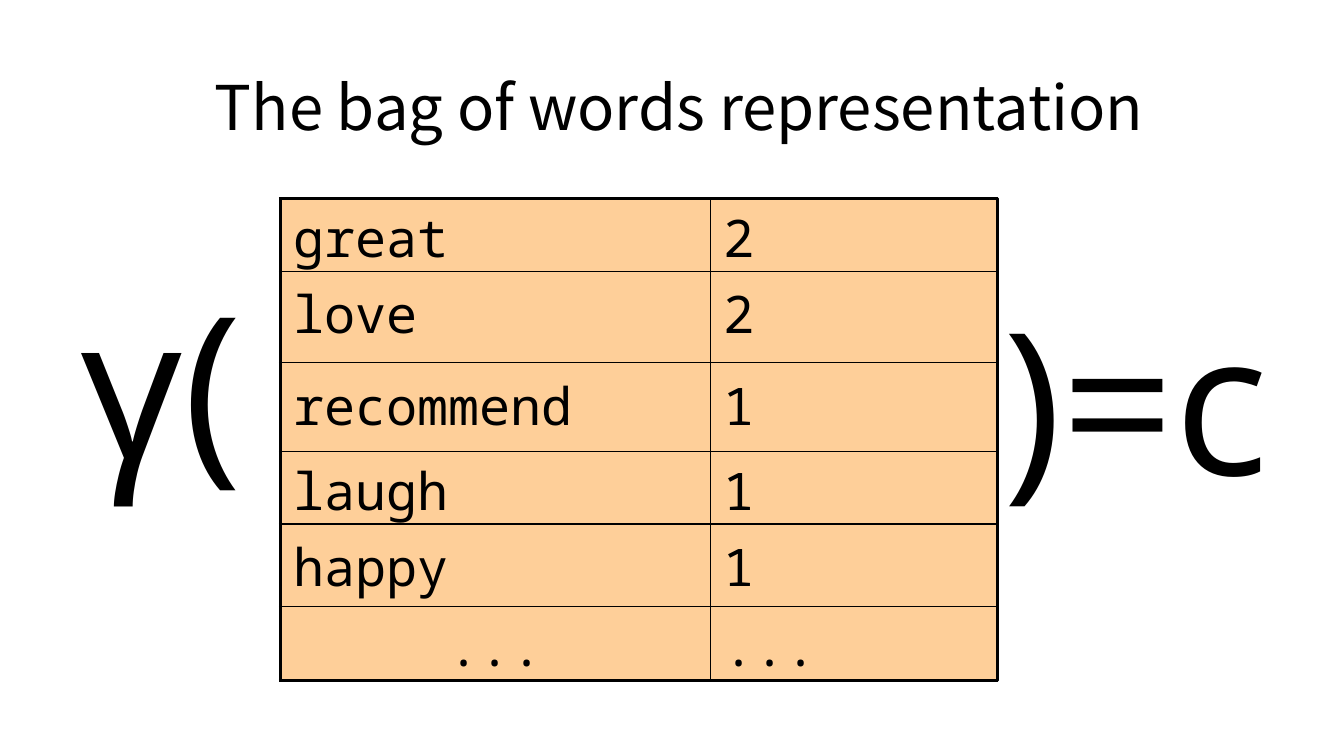
from lxml import etree
from pptx import Presentation
from pptx.dml.color import RGBColor
from pptx.enum.shapes import MSO_SHAPE
from pptx.enum.text import MSO_ANCHOR, PP_ALIGN
from pptx.oxml.ns import qn
from pptx.util import Inches, Pt

RECT = MSO_SHAPE.RECTANGLE
TOP, BOTTOM = MSO_ANCHOR.TOP, MSO_ANCHOR.BOTTOM
LEFT, CENTER = PP_ALIGN.LEFT, PP_ALIGN.CENTER

# Content
TITLE = "The bag of words representation"
WORDS = [("great", "2"), ("love", "2"), ("recommend", "1"),
         ("laugh", "1"), ("happy", "1"), ("...", "...")]
COLS = [4.27, 2.84]
ROWS = [0.72, 0.91, 0.88, 0.72, 0.82, 0.73]
GRID = (2.78, 1.97)
TEXT = 0.64  # height of one tightened line in a cell


class Theme:
    ink = RGBColor(0, 0, 0)
    peach = RGBColor(0xFE, 0xCF, 0x99)
    head, math, mono, greek = ("Noto Sans CJK KR", "Open Sans",
                               "Noto Sans Mono", "Cabin")
    title, sign, cell = 44, 141.3, 37
    tight = 0.9
    thick, thin = 2.25, 1


# Runs as (text, font); boxes as (place, anchor, line spacing, size, runs)
BOXES = [
    ((2, 0.42, 10.89, 1.08), BOTTOM, Theme.tight, Theme.title,
     [(TITLE, Theme.head)]),
    ((0.67, 2.53, 2, 4.89), TOP, 1, Theme.sign,
     [("γ", Theme.greek), ("(", Theme.math)]),
    ((9.82, 2.68, 3.18, 2.51), TOP, 1, Theme.sign, [(")=c", Theme.math)]),
]


def add_run(para, text, font, size):
    run = para.add_run()
    run.text = text
    run.font.name = font
    run.font.size = Pt(size)
    run.font.color.rgb = Theme.ink
    props = run.font._element
    for tag in ("a:ea", "a:cs"):
        etree.SubElement(props, qn(tag), typeface=font)


def add_box(slide, place, anchor, space, size, runs):
    frame = slide.shapes.add_textbox(*map(Inches, place)).text_frame
    frame.word_wrap = True
    frame.vertical_anchor = anchor
    frame.margin_left = frame.margin_right = Inches(0.13)
    frame.margin_top = frame.margin_bottom = Inches(0.07)
    para = frame.paragraphs[0]
    para.alignment = LEFT
    para.line_spacing = space
    for text, font in runs:
        add_run(para, text, font, size)


def set_edge(props, spot, side, width):
    line = etree.Element(qn("a:ln" + side), w=str(Pt(width)))
    fill = etree.SubElement(line, qn("a:solidFill"))
    etree.SubElement(fill, qn("a:srgbClr"), val=str(Theme.ink))
    props.insert(spot, line)


def add_grid(slide):
    size = (sum(COLS), sum(ROWS))
    # Backing panel
    panel = slide.shapes.add_shape(RECT, *map(Inches, GRID + size))
    panel.shadow.inherit = False
    panel.fill.solid()
    panel.fill.fore_color.rgb = Theme.peach
    panel.line.color.rgb = Theme.ink
    panel.line.width = Pt(Theme.thick)

    # Word counts, thick at the outer edge
    table = slide.shapes.add_table(len(ROWS), len(COLS),
                                   *map(Inches, GRID + size)).table
    table.first_row = table.horz_banding = False
    for col, width in zip(table.columns, COLS):
        col.width = Inches(width)
    for row, height in zip(table.rows, ROWS):
        row.height = Inches(height)
    end_row, end_col = len(ROWS) - 1, len(COLS) - 1
    for r, pair in enumerate(WORDS):
        for c, text in enumerate(pair):
            cell = table.cell(r, c)
            cell.fill.background()
            cell.margin_left = cell.margin_right = Inches(0.13)
            # Keep the line inside its row, so that no row grows
            cell.margin_top = Inches(min(0.12, ROWS[r] - TEXT))
            cell.margin_bottom = 0
            para = cell.text_frame.paragraphs[0]
            para.alignment = CENTER if (r, c) == (end_row, 0) else LEFT
            para.line_spacing = Theme.tight
            add_run(para, text, Theme.mono, Theme.cell)
            outer = {"L": c == 0, "R": c == end_col,
                     "T": r == 0, "B": r == end_row}
            props = cell._tc.get_or_add_tcPr()
            for spot, (side, edge) in enumerate(outer.items()):
                set_edge(props, spot, side,
                         Theme.thick if edge else Theme.thin)


def main():
    deck = Presentation()
    deck.slide_width, deck.slide_height = Inches(13.33), Inches(7.5)
    slide = deck.slides.add_slide(deck.slide_layouts[6])
    add_grid(slide)
    for box in BOXES:
        add_box(slide, *box)
    deck.save("out.pptx")


if __name__ == "__main__":
    main()
